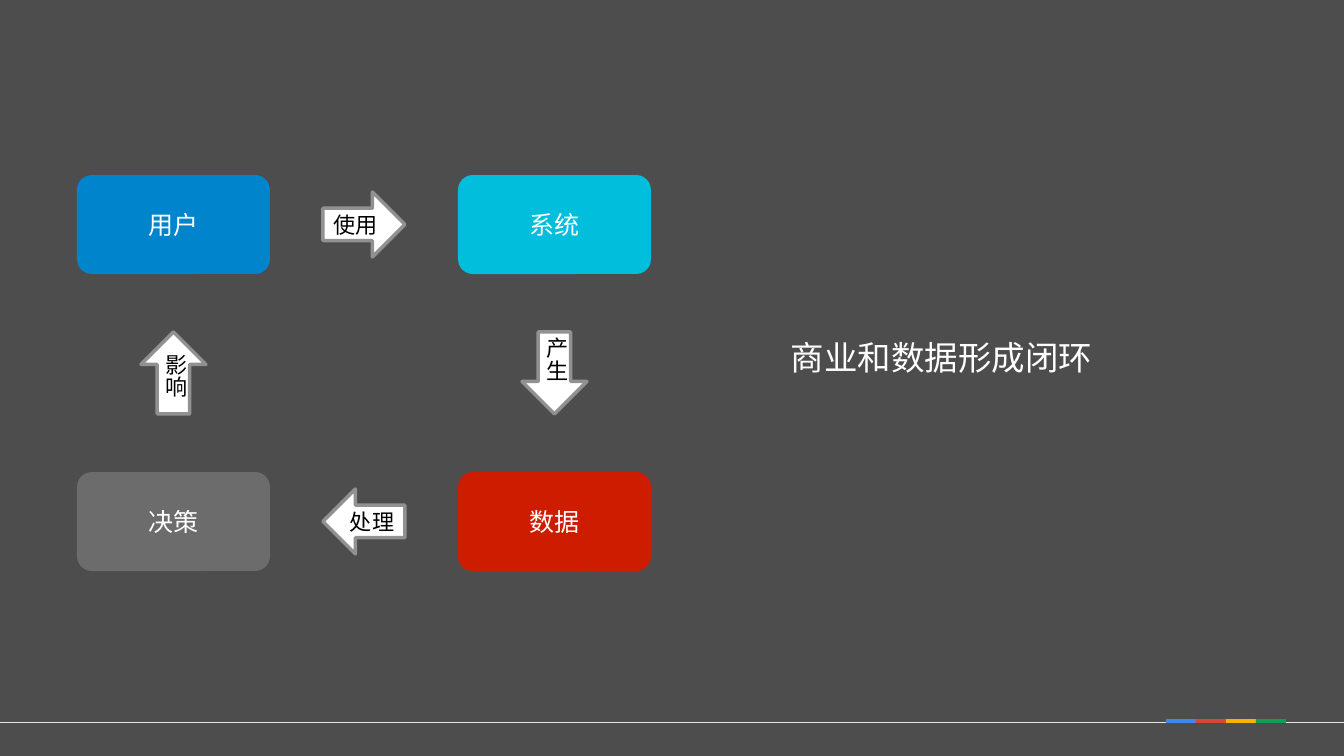
from lxml.etree import SubElement
from pptx import Presentation
from pptx.dml.color import RGBColor
from pptx.enum.shapes import MSO_CONNECTOR as LINK, MSO_SHAPE as SHAPE
from pptx.enum.text import MSO_ANCHOR as ANCHOR, MSO_AUTO_SIZE as FIT, PP_ALIGN as ALIGN
from pptx.oxml.ns import qn
from pptx.util import Emu, Pt

SCALE = 914400 / 100.8
FONT = "Noto Sans CJK JP"
BOX_W, BOX_H = 193, 99
LEFT, RIGHT, TOP, BOTTOM = 77, 458, 175, 472
ARROW_LONG, ARROW_WIDE = 82, 65
STRIPE_W = 30

BOX_TEXT = {"size": Pt(17.9), "name": FONT}
ARROW_TEXT = {"size": Pt(15.8), "name": FONT}
TITLE_TEXT = {"size": Pt(23.9), "name": FONT, "bold": False}
CENTERED = {"alignment": ALIGN.CENTER}
STACKED = {"alignment": ALIGN.LEFT, "line_spacing": Pt(16)}


def px(length):
    return Emu(round(length * SCALE))


def area(*lengths):
    return [px(length) for length in lengths]


def paint(color_format, color):
    color_format.rgb = RGBColor.from_string(color)


def apply(target, values):
    for name, value in values.items():
        setattr(target, name, value)


def write(shape, text, color, font, layout, margins=(0, 0, 0, 0), wrap=True):
    frame = shape.text_frame
    left, top, right, bottom = area(*margins)
    apply(frame, {"word_wrap": wrap, "auto_size": FIT.NONE,
                  "vertical_anchor": ANCHOR.MIDDLE,
                  "margin_left": left, "margin_top": top,
                  "margin_right": right, "margin_bottom": bottom})
    para = frame.paragraphs[0]
    apply(para, layout)
    span = para.add_run()
    span.text = text
    apply(span.font, font)
    paint(span.font.color, color)
    SubElement(span._r.get_or_add_rPr(), qn("a:ea")).set("typeface", FONT)


def add_block(page, kind, bounds, fill):
    block = page.shapes.add_shape(kind, *area(*bounds))
    block.shadow.inherit = False
    block.fill.solid()
    paint(block.fill.fore_color, fill)
    block.line.fill.background()
    return block


def add_box(page, text, left, top, fill):
    box = add_block(page, SHAPE.ROUNDED_RECTANGLE, (left, top, BOX_W, BOX_H), fill)
    box.adjustments[0] = 0.15
    write(box, text, "FFFFFF", BOX_TEXT, CENTERED)


def add_arrow(page, kind, text, center_x, center_y):
    upright = kind in (SHAPE.UP_ARROW, SHAPE.DOWN_ARROW)
    width, height = (ARROW_WIDE, ARROW_LONG) if upright else (ARROW_LONG, ARROW_WIDE)
    bounds = (center_x - width / 2, center_y - height / 2, width, height)
    arrow = add_block(page, kind, bounds, "FFFFFF")
    paint(arrow.line.color, "919191")
    arrow.line.width = Pt(2.47)
    layout, margins = (STACKED, (8, 0, 0, 7)) if upright else (CENTERED, (0, 0, 0, 0))
    write(arrow, text, "000000", ARROW_TEXT, layout, margins, wrap=upright)


def add_title(page, text):
    title = page.shapes.title
    left, top, width, height = area(791, 336, 304, 42)
    apply(title, {"left": left, "top": top, "width": width, "height": height})
    write(title, text, "FFFFFF", TITLE_TEXT, {"alignment": ALIGN.LEFT}, wrap=False)


def add_footer(page):
    rule = page.shapes.add_connector(LINK.STRAIGHT, *area(1344, 723, 0, 723))
    paint(rule.line.color, "E6E6E6")
    rule.line.width = Pt(0.75)
    SubElement(rule._element.spPr, qn("a:effectLst"))
    for index, color in enumerate(("4285F4", "D84437", "F4B400", "0F9D58")):
        bounds = (1166 + index * STRIPE_W, 719, STRIPE_W, 4)
        add_block(page, SHAPE.RECTANGLE, bounds, color)


def main():
    deck = Presentation()
    deck.slide_width, deck.slide_height = area(1344, 756)
    page = deck.slides.add_slide(deck.slide_layouts[5])
    page.background.fill.solid()
    paint(page.background.fill.fore_color, "4D4D4D")

    add_footer(page)
    add_title(page, "商业和数据形成闭环")

    for text, left, top, fill in (
        ("用户", LEFT, TOP, "0085CC"),
        ("系统", RIGHT, TOP, "00BEDC"),
        ("数据", RIGHT, BOTTOM, "CE1C00"),
        ("决策", LEFT, BOTTOM, "6C6C6C"),
    ):
        add_box(page, text, left, top, fill)

    left_x, right_x = LEFT + BOX_W / 2, RIGHT + BOX_W / 2
    top_y, bottom_y = TOP + BOX_H / 2, BOTTOM + BOX_H / 2
    middle_x, middle_y = (left_x + right_x) / 2, (top_y + bottom_y) / 2
    for kind, text, center_x, center_y in (
        (SHAPE.RIGHT_ARROW, "使用", middle_x, top_y),
        (SHAPE.DOWN_ARROW, "产 生", right_x, middle_y),
        (SHAPE.LEFT_ARROW, "处理", middle_x, bottom_y),
        (SHAPE.UP_ARROW, "影 响", left_x, middle_y),
    ):
        add_arrow(page, kind, text, center_x, center_y)

    deck.save("out.pptx")


if __name__ == "__main__":
    main()
